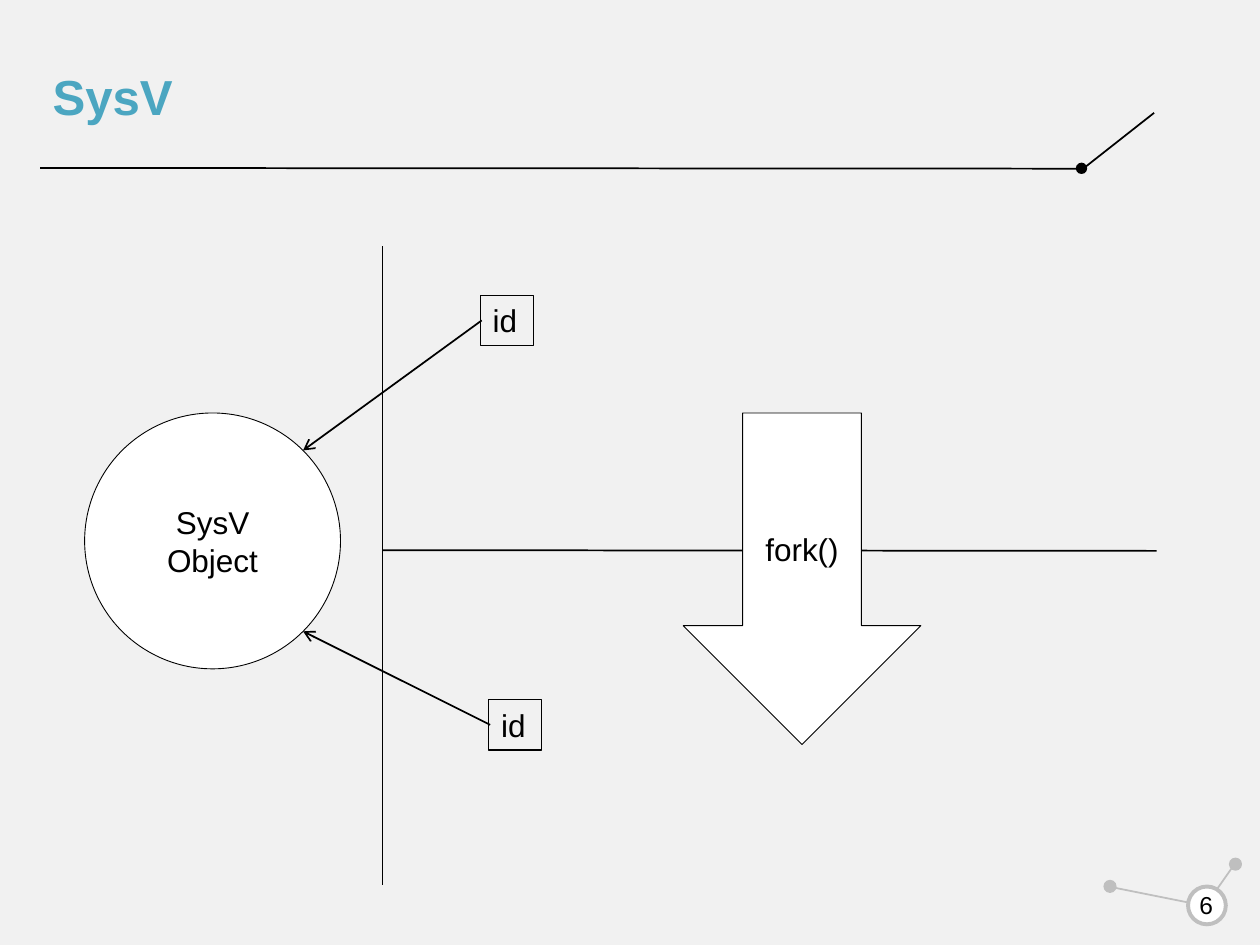
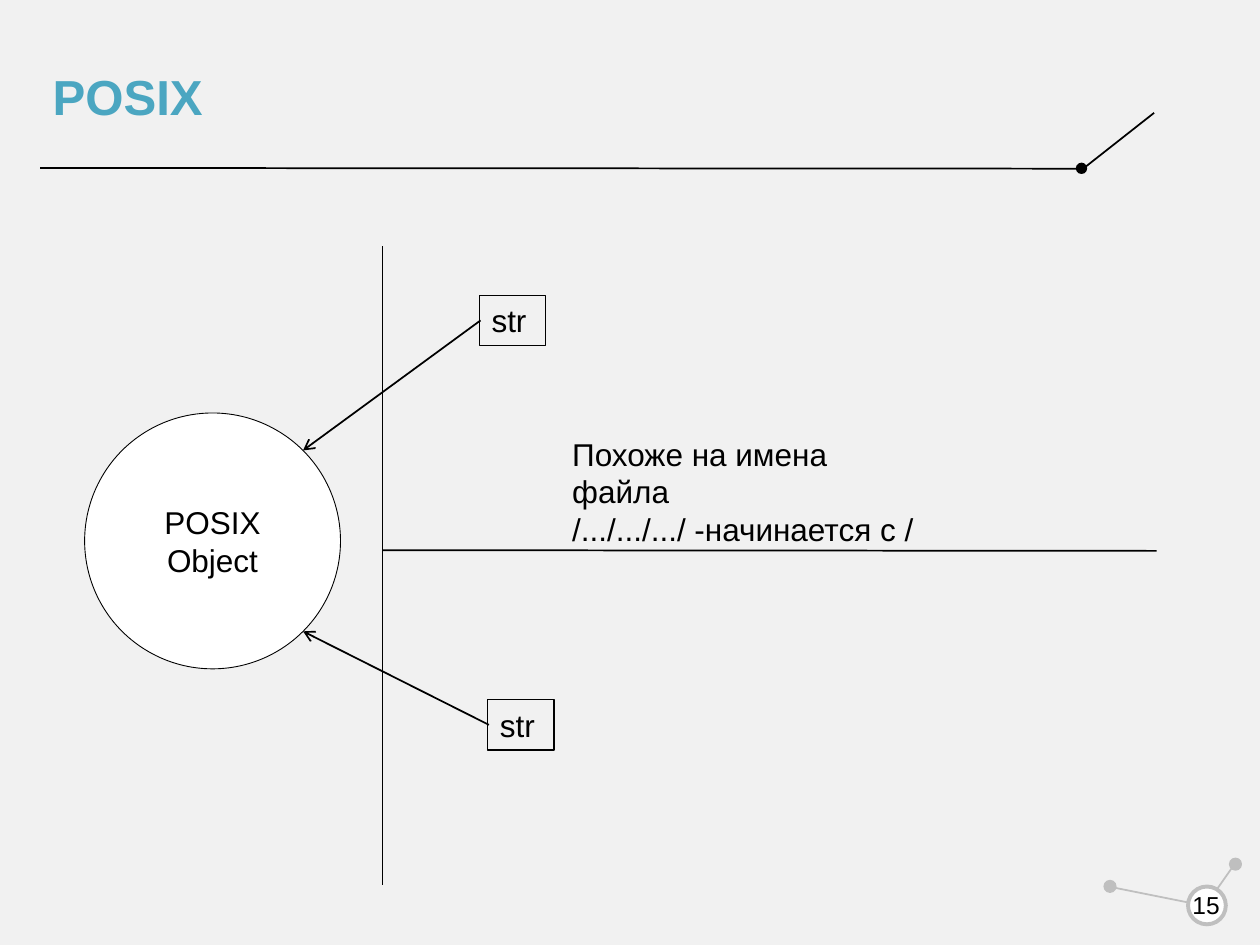
from math import sqrt
from pptx import Presentation
from pptx.dml.color import RGBColor
from pptx.enum.shapes import MSO_CONNECTOR as CONN, MSO_SHAPE as SHAPE
from pptx.enum.text import MSO_ANCHOR as ANCHOR, PP_ALIGN as ALIGN
from pptx.oxml.ns import qn
from pptx.util import Pt
from lxml.etree import SubElement

FONT = "Arial"
BACK, INK, TITLE, GREY, WHITE = "F1F1F1", "000000", "4BA6C1", "BFBFBF", "FFFFFF"
WIDTH, HEIGHT = 720, 540
DIVIDER_X = 218.6
OBJECT_X, OBJECT_Y, OBJECT_R = 121.5, 309.1, 73.1


def paint(fmt, color):
    """Give a fill a solid colour, or none."""
    if color:
        fmt.solid()
        fmt.fore_color.rgb = RGBColor.from_string(color)
    else:
        fmt.background()


def write(sp, text, size=18, color=INK, bold=False, align=ALIGN.LEFT,
          anchor=ANCHOR.MIDDLE, wrap=True):
    """Write text, one paragraph a line, in a shape."""
    tf = sp.text_frame
    tf.text = text
    tf.word_wrap = wrap
    tf.vertical_anchor = anchor
    for p in tf.paragraphs:
        p.alignment = align
        for r in p.runs:
            r.font.name, r.font.size, r.font.bold = FONT, Pt(size), bold
            r.font.color.rgb = RGBColor.from_string(color)


def add_shape(s, kind, x, y, w, h, fill=None, line=None, width=0.5):
    """Add a flat preset shape."""
    sp = s.shapes.add_shape(kind, Pt(x), Pt(y), Pt(w), Pt(h))
    sp.shadow.inherit = False
    paint(sp.fill, fill)
    paint(sp.line.fill, line)
    if line:
        sp.line.width = Pt(width)
    return sp


def add_circle(s, x, y, radius, fill, line=None, width=0.5):
    """Add a circle around a centre."""
    return add_shape(s, SHAPE.OVAL, x - radius, y - radius,
                     2 * radius, 2 * radius, fill, line, width)


def add_text(s, x, y, w, h, text, **style):
    """Add a text box."""
    write(s.shapes.add_textbox(Pt(x), Pt(y), Pt(w), Pt(h)), text, **style)


def add_line(s, x1, y1, x2, y2, color=INK, arrow=False):
    """Add a thin straight line, with an arrowhead at its end if asked."""
    cn = s.shapes.add_connector(CONN.STRAIGHT, Pt(x1), Pt(y1), Pt(x2), Pt(y2))
    paint(cn.line.fill, color)
    cn.line.width = Pt(1)
    if arrow:
        SubElement(cn.line.fill._xPr, qn("a:tailEnd"), type="arrow")
    SubElement(cn._element.spPr, qn("a:effectLst"))


def add_base(prs, title, number):
    """Add a slide with its title, rule and page number."""
    s = prs.slides.add_slide(prs.slide_layouts[6])
    add_shape(s, SHAPE.RECTANGLE, 0, 0, WIDTH, HEIGHT, BACK)
    add_line(s, 23, 96, 615, 96.4)
    add_circle(s, 618, 96.2, 3.25, INK)
    add_line(s, 619.2, 96.2, 659.5, 64.5)
    add_circle(s, 706, 493.8, 3.25, GREY, GREY, 1)
    add_line(s, 704.9, 494.6, 694.8, 509, GREY)
    add_circle(s, 634.3, 506.5, 3.25, GREY, GREY, 1)
    add_line(s, 635, 506.9, 685.4, 517, GREY)
    add_circle(s, 689.7, 517.4, 10.8, WHITE, GREY, 2.25)
    add_text(s, 23, 20.7, 592, 68.4, title, size=28.1, color=TITLE, bold=True)
    add_text(s, 669.5, 502.6, 39.5, 28.8, str(number), size=14, align=ALIGN.CENTER)
    return s


def add_handle(s, x, y, w, text, tip_y):
    """Add a boxed handle with an arrow to the object."""
    h = 28.8
    box = add_shape(s, SHAPE.RECTANGLE, x, y, w, h, line=INK, width=0.75)
    write(box, text, anchor=ANCHOR.TOP, wrap=False)
    add_line(s, x + 0.8, y + h / 2, OBJECT_X + OBJECT_R / sqrt(2), tip_y, arrow=True)


def add_diagram(s, name, handle, x, w):
    """Draw a shared object that two processes reach by a handle."""
    add_line(s, DIVIDER_X, 140.8, DIVIDER_X, 506)
    circle = add_circle(s, OBJECT_X, OBJECT_Y, OBJECT_R, WHITE, INK)
    write(circle, f"{name} Object", align=ALIGN.CENTER)
    add_line(s, DIVIDER_X, 314.4, 661, 314.8)
    reach = OBJECT_R / sqrt(2)
    add_handle(s, x, 168.7, w, handle, OBJECT_Y - reach)
    add_handle(s, x + 4.8, 399.8, w, handle, OBJECT_Y + reach)


def main():
    """Build both slides and save them."""
    prs = Presentation()
    prs.slide_width, prs.slide_height = Pt(WIDTH), Pt(HEIGHT)

    s = add_base(prs, "SysV", 6)
    add_diagram(s, "SysV", "id", 274.5, 30.4)
    fork = add_shape(s, SHAPE.DOWN_ARROW, 390.4, 236, 135.8, 189.4, WHITE, INK)
    write(fork, "fork()", align=ALIGN.CENTER)

    s = add_base(prs, "POSIX", 15)
    add_diagram(s, "POSIX", "str", 273.8, 38)
    add_text(s, 319.9, 244.8, 216, 47.5,
             "Похоже на имена файла\n/.../.../.../ -начинается с /", anchor=ANCHOR.TOP)

    prs.save("out.pptx")


if __name__ == "__main__":
    main()
